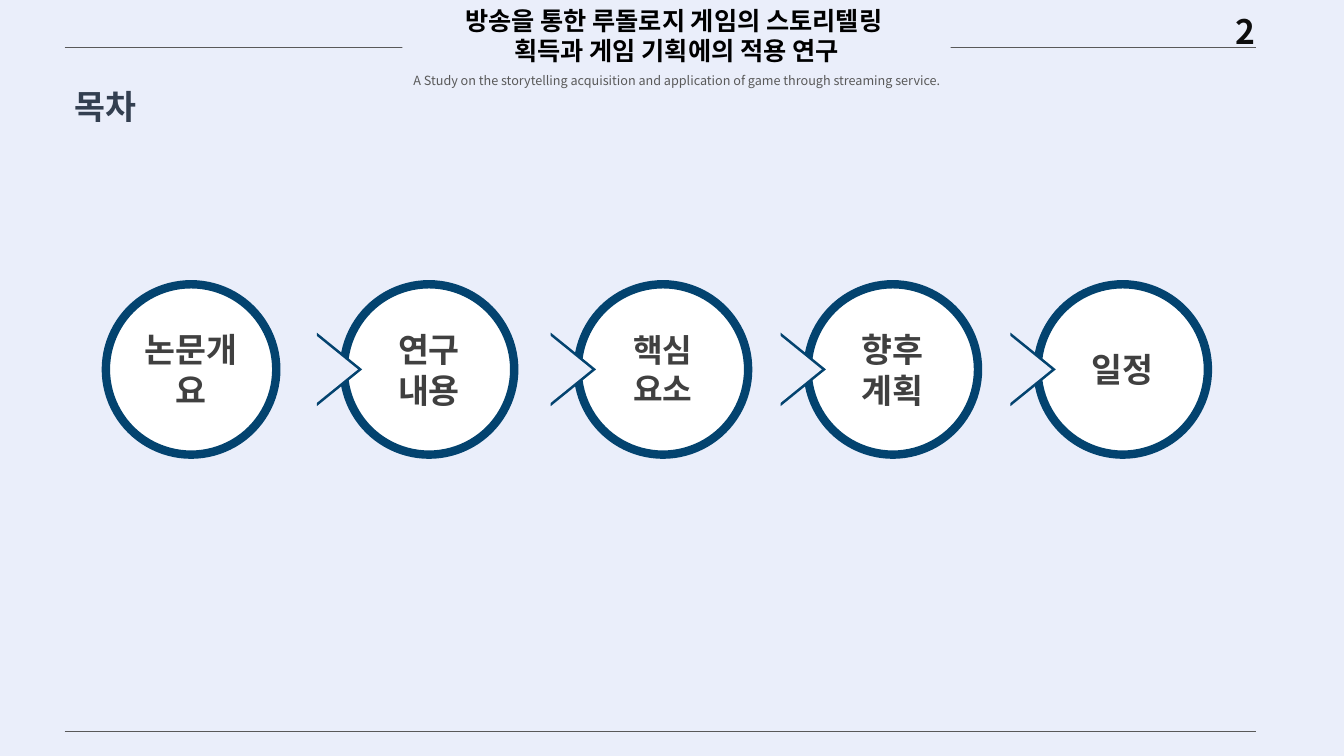
from lxml import etree
from pptx import Presentation
from pptx.dml.color import RGBColor
from pptx.enum.shapes import MSO_CONNECTOR, MSO_SHAPE
from pptx.enum.text import MSO_ANCHOR, MSO_AUTO_SIZE, PP_ALIGN
from pptx.oxml.ns import qn
from pptx.util import Inches, Pt

STRAIGHT = MSO_CONNECTOR.STRAIGHT
RECTANGLE, OVAL, TRIANGLE = MSO_SHAPE.RECTANGLE, MSO_SHAPE.OVAL, MSO_SHAPE.ISOSCELES_TRIANGLE
TOP, MIDDLE = MSO_ANCHOR.TOP, MSO_ANCHOR.MIDDLE
LEFT, CENTER = PP_ALIGN.LEFT, PP_ALIGN.CENTER
NO_FIT = MSO_AUTO_SIZE.NONE

STEPS = [
    (1.05, "논문개요", 24),
    (3.41, "연구\n내용", 24),
    (5.73, "핵심\n요소", 23),
    (8.01, "향후 계획", 24),
    (10.29, "일정", 24),
]
STEP_TOP, STEP_SIZE = 2.82, 1.69
ARROW_WIDTH, ARROW_HEIGHT = 0.73, 0.45


def color(value):
    """Turn a hex string into a colour."""
    return RGBColor.from_string(value)


class Page:
    """Draws styled elements on one slide."""

    font = "Noto Sans CJK KR"
    background = "EAEEFA"
    navy = "03436F"
    rule_color = "595959"

    def __init__(self, deck):
        """Add a title-only slide with the background colour."""
        self.slide = deck.slides.add_slide(deck.slide_layouts[5])
        self.shapes = self.slide.shapes
        fill = self.slide.background.fill
        fill.solid()
        fill.fore_color.rgb = color(self.background)

    def style_para(self, para, size, ink, bold=True, align=CENTER, spacing=None):
        """Style a paragraph and all of its runs."""
        para.alignment = align
        para.line_spacing = spacing
        for span in para.runs:
            span.font.name = self.font
            span.font.size = Pt(size)
            span.font.bold = bold
            span.font.color.rgb = color(ink)
            east_asian = etree.SubElement(span.font._element, qn("a:ea"))
            east_asian.set("typeface", self.font)

    def set_text(self, box, text, size, ink, anchor=MIDDLE, align=CENTER, spacing=None):
        """Fill a shape with wrapped, styled text."""
        frame = box.text_frame
        frame.text = text
        frame.word_wrap = True
        frame.auto_size = NO_FIT
        frame.vertical_anchor = anchor
        for para in frame.paragraphs:
            self.style_para(para, size, ink, align=align, spacing=spacing)

    def title(self, text, left, top, width, height):
        """Place the slide title."""
        box = self.shapes.title
        box.left, box.top = Inches(left), Inches(top)
        box.width, box.height = Inches(width), Inches(height)
        self.set_text(box, text, 24, "333F50", align=LEFT, spacing=1.5)

    def number(self, text, left, top, width, height):
        """Place the page number."""
        box = self.shapes.add_textbox(Inches(left), Inches(top), Inches(width), Inches(height))
        self.set_text(box, text, 24, "0D0D0D", anchor=TOP)

    def rule(self, left, right, top):
        """Draw a thin horizontal line."""
        line = self.shapes.add_connector(
            STRAIGHT, Inches(left), Inches(top), Inches(right), Inches(top))
        line.line.width = Pt(0.5)
        line.line.color.rgb = color(self.rule_color)
        etree.SubElement(line._element.spPr, qn("a:effectLst"))

    def shape(self, kind, left, top, width, height, fill):
        """Add a filled preset shape without line or shadow."""
        shape = self.shapes.add_shape(
            kind, Inches(left), Inches(top), Inches(width), Inches(height))
        shape.shadow.inherit = False
        shape.fill.solid()
        shape.fill.fore_color.rgb = color(fill)
        shape.line.fill.background()
        return shape

    def header(self, heading, subtitle, left, top, width, height):
        """Add the study heading with its subtitle."""
        box = self.shape(RECTANGLE, left, top, width, height, self.background)
        self.set_text(box, heading, 18, "000000", anchor=TOP)
        para = box.text_frame.add_paragraph()
        para.text = subtitle
        self.style_para(para, 9, "595959", bold=False, spacing=1.5)

    def step(self, left, label, size):
        """Add a ringed circle with a label."""
        circle = self.shape(OVAL, left, STEP_TOP, STEP_SIZE, STEP_SIZE, "FFFFFF")
        circle.line.color.rgb = color(self.navy)
        circle.line.width = Pt(6)
        self.set_text(circle, label, size, "404040")

    def arrow(self, left, middle):
        """Add a right-pointing triangle edged by a hard shadow."""
        arrow = self.shape(TRIANGLE, left, middle - ARROW_HEIGHT / 2,
                           ARROW_WIDTH, ARROW_HEIGHT, self.background)
        arrow.rotation = 90
        effects = arrow._element.spPr.find(qn("a:effectLst"))
        shadow = etree.SubElement(effects, qn("a:outerShdw"), blurRad="0",
                                  dist=str(Pt(3)), dir="0", algn="l", rotWithShape="0")
        etree.SubElement(shadow, qn("a:srgbClr"), val=self.navy)


def main():
    """Build and save the contents slide."""
    deck = Presentation()
    deck.slide_width, deck.slide_height = Inches(13.33), Inches(7.5)
    page = Page(deck)
    page.number("2", 11.55, 0.06, 1.61, 0.4)
    for top in (0.47, 7.26):
        page.rule(0.64, 12.46, top)
    page.header(
        "방송을 통한 루돌로지 게임의 스토리텔링 \v획득과 게임 기획에의 적용 연구",
        "A Study on the storytelling acquisition and application of game "
        "through streaming service.", 3.99, 0, 5.44, 0.93)
    page.title("목차", 0.64, 0.6, 1.53, 0.71)
    for index, (left, label, size) in enumerate(STEPS):
        page.step(left, label, size)
        if index:
            page.arrow(left - 0.45, STEP_TOP + STEP_SIZE / 2)
    deck.save("out.pptx")


if __name__ == "__main__":
    main()
